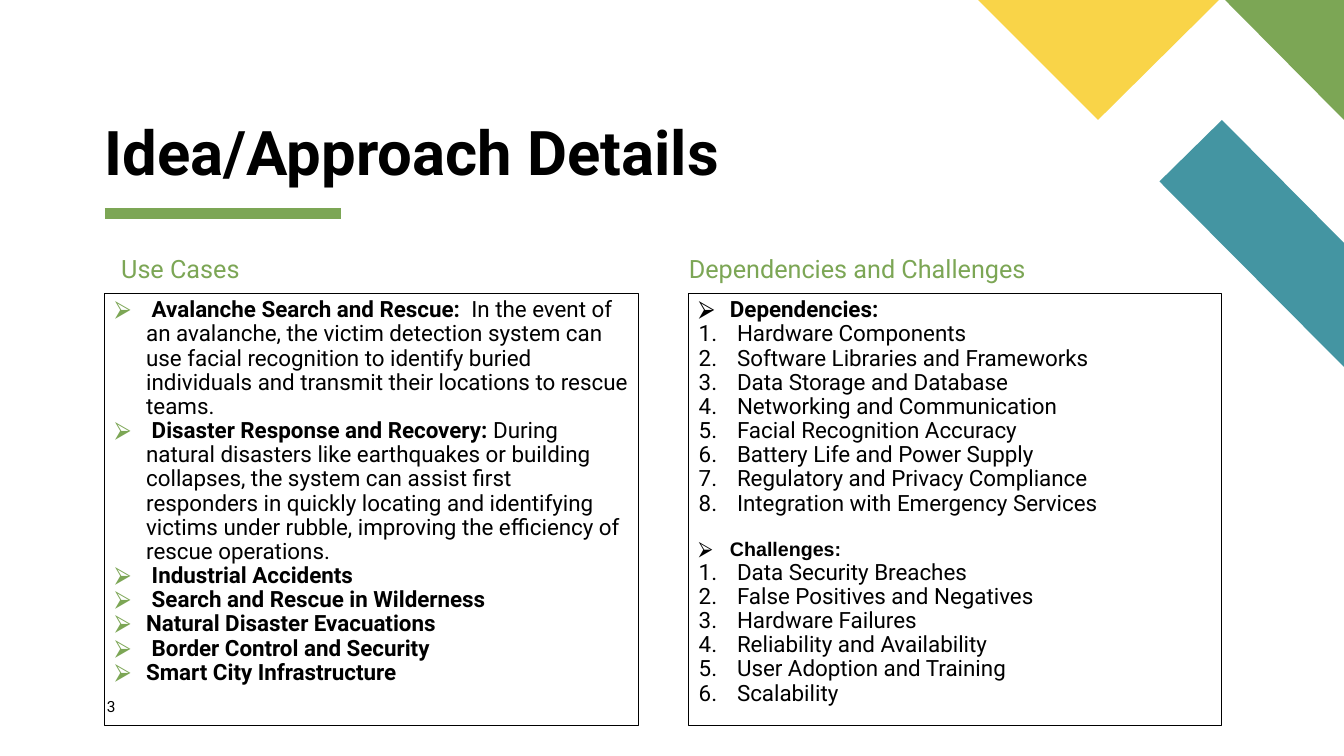
from dataclasses import dataclass

from lxml import etree
from pptx import Presentation
from pptx import util as u
from pptx.dml.color import RGBColor
from pptx.enum import shapes, text
from pptx.oxml import ns

BLACK = RGBColor(0x00, 0x00, 0x00)
GREEN = RGBColor(0x7C, 0xA6, 0x55)
TEAL = RGBColor(0x44, 0x95, 0xA2)
YELLOW = RGBColor(0xF9, 0xD4, 0x48)

ARROW = "⮚"
NUMBER = "1."
PANEL_WIDTH = 5.29


@dataclass(frozen=True)
class Item:
    """One list entry: an optional bold lead, then plain text."""
    lead: str = ""
    body: str = ""
    bullet: str = ARROW
    bullet_color: RGBColor = GREEN
    indent: float = 0.31
    before: float = 0
    size: float = 16
    font: str = "Roboto"


@dataclass(frozen=True)
class Panel:
    heading: str
    heading_left: float
    left: float
    items: list[Item]


@dataclass(frozen=True)
class Corner:
    color: RGBColor
    points: list[tuple[float, float]]


def numbered(names: list[str]) -> list[Item]:
    return [Item(body=n, bullet=NUMBER, bullet_color=BLACK, indent=0.38) for n in names]


PANELS = [
    Panel(" Use Cases", 1.04, 1.04, [
        Item(" Avalanche Search and Rescue:  ",
             "In the event of an avalanche, the victim detection system can use facial "
             "recognition to identify buried individuals and transmit their locations "
             "to rescue teams."),
        Item(" Disaster Response and Recovery: ",
             "During natural disasters like earthquakes or building collapses, the system "
             "can assist first responders in quickly locating and identifying victims "
             "under rubble, improving the efficiency of rescue operations."),
        Item(" Industrial Accidents"),
        Item(" Search and Rescue in Wilderness"),
        Item("Natural Disaster Evacuations"),
        Item(" Border Control and Security"),
        Item("Smart City Infrastructure"),
    ]),
    Panel(" Dependencies and Challenges", 6.67, 6.83, [
        Item("Dependencies:", bullet_color=BLACK),
        *numbered(["Hardware Components", "Software Libraries and Frameworks",
                   "Data Storage and Database", "Networking and Communication",
                   "Facial Recognition Accuracy", "Battery Life and Power Supply",
                   "Regulatory and Privacy Compliance",
                   "Integration with Emergency Services"]),
        Item("Challenges:", bullet_color=BLACK, before=17, size=14, font="Arial"),
        *numbered(["Data Security Breaches", "False Positives and Negatives",
                   "Hardware Failures", "Reliability and Availability",
                   "User Adoption and Training", "Scalability"]),
    ]),
]

CORNERS = [
    Corner(TEAL, [(13.33, 3.64), (13.33, 2.41), (12.12, 1.19), (11.5, 1.8)]),
    Corner(GREEN, [(13.33, 1.19), (13.33, 0), (12.15, 0)]),
    Corner(YELLOW, [(9.7, 0), (10.89, 1.19), (12.09, 0)]),
]


def place(sp, left: float, top: float, width: float, height: float) -> None:
    sp.left, sp.top = u.Inches(left), u.Inches(top)
    sp.width, sp.height = u.Inches(width), u.Inches(height)


def set_frame(tf, anchor=text.MSO_ANCHOR.TOP, inset_x: float = 0.1, inset_y: float = 0.05) -> None:
    tf.word_wrap = True
    tf.auto_size = text.MSO_AUTO_SIZE.NONE
    tf.vertical_anchor = anchor
    tf.margin_left = tf.margin_right = u.Inches(inset_x)
    tf.margin_top = tf.margin_bottom = u.Inches(inset_y)


def set_paragraph(p, indent: float = 0, before: float = 0) -> None:
    p.alignment = text.PP_ALIGN.LEFT
    p.line_spacing = 0.9
    p.space_before, p.space_after = u.Pt(before), u.Pt(0)
    pPr = p._p.get_or_add_pPr()
    pPr.set("marL", str(u.Inches(indent)))
    pPr.set("indent", str(-u.Inches(indent)))


def add_text(p, content: str, *, size: float, color: RGBColor = BLACK,
             bold: bool = False, font: str = "Roboto") -> None:
    r = p.add_run()
    r.text = content
    r.font.size, r.font.bold, r.font.name = u.Pt(size), bold, font
    r.font.color.rgb = color


def set_bullet(p, bullet: str, color: RGBColor) -> None:
    pPr = p._p.get_or_add_pPr()
    clr = etree.SubElement(pPr, ns.qn("a:buClr"))
    etree.SubElement(clr, ns.qn("a:srgbClr"), val=str(color))
    font = "Roboto" if bullet == NUMBER else "Arial"
    etree.SubElement(pPr, ns.qn("a:buFont"), typeface=font)
    if bullet == NUMBER:
        etree.SubElement(pPr, ns.qn("a:buAutoNum"), type="arabicPeriod")
    else:
        etree.SubElement(pPr, ns.qn("a:buChar"), char=bullet)


def add_corner(s, corner: Corner) -> None:
    first, *rest = [(u.Inches(x), u.Inches(y)) for x, y in corner.points]
    builder = s.shapes.build_freeform(*first)
    builder.add_line_segments(rest)
    sp = builder.convert_to_shape()
    sp.shadow.inherit = False
    sp.fill.solid()
    sp.fill.fore_color.rgb = corner.color
    sp.line.fill.background()


def add_title_rule(s) -> None:
    rule = s.shapes.add_connector(shapes.MSO_CONNECTOR.STRAIGHT, u.Inches(1.04),
                                  u.Inches(2.12), u.Inches(3.38), u.Inches(2.12))
    rule.line.color.rgb = GREEN
    rule.line.width = u.Pt(8)
    etree.SubElement(rule._element.spPr, ns.qn("a:effectLst"))


def fill_panel(heading, box, panel: Panel) -> None:
    place(heading, panel.heading_left, 2.5, PANEL_WIDTH, 0.35)
    set_frame(heading.text_frame)
    p = heading.text_frame.paragraphs[0]
    set_paragraph(p, indent=0.25)
    add_text(p, panel.heading, size=18, color=GREEN)

    place(box, panel.left, 2.91, PANEL_WIDTH, 4.29)
    box.line.color.rgb = BLACK
    box.line.width = u.Pt(0.75)
    tf = box.text_frame
    set_frame(tf)
    for i, item in enumerate(panel.items):
        p = tf.add_paragraph() if i else tf.paragraphs[0]
        set_paragraph(p, item.indent, item.before)
        set_bullet(p, item.bullet, item.bullet_color)
        for content, bold in ((item.lead, True), (item.body, False)):
            if content:
                add_text(p, content, size=item.size, bold=bold, font=item.font)


def main() -> None:
    prs = Presentation()
    prs.slide_width, prs.slide_height = u.Inches(13.33), u.Inches(7.5)
    s = prs.slides.add_slide(prs.slide_layouts.get_by_name("Comparison"))

    title = s.shapes.title
    place(title, 1.04, 1.2, 6.32, 0.67)
    set_frame(title.text_frame, text.MSO_ANCHOR.BOTTOM, 0, 0)
    p = title.text_frame.paragraphs[0]
    set_paragraph(p)
    add_text(p, "Idea/Approach Details", size=44, bold=True)

    add_title_rule(s)
    for corner in CORNERS:
        add_corner(s, corner)

    _, *bodies = s.placeholders
    for heading, box, panel in zip(bodies[::2], bodies[1::2], PANELS):
        fill_panel(heading, box, panel)

    number = s.shapes.add_textbox(u.Inches(1.06), u.Inches(6.92), u.Inches(0.57), u.Inches(0.27))
    set_frame(number.text_frame, inset_x=0, inset_y=0)
    add_text(number.text_frame.paragraphs[0], "3", size=11)

    prs.save("out.pptx")


if __name__ == "__main__":
    main()
